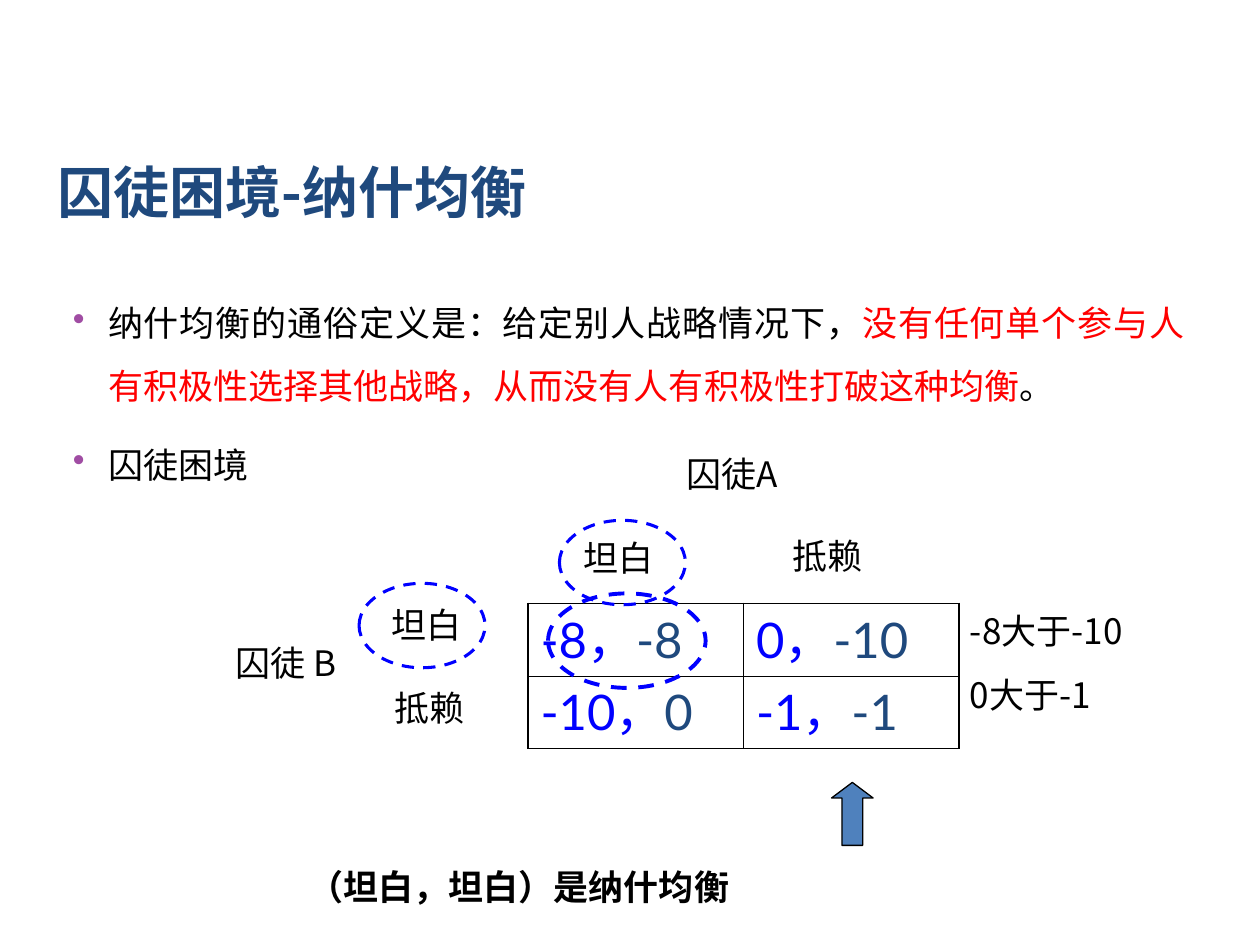
from pptx import Presentation
from pptx.dml.color import RGBColor
from pptx.enum.dml import MSO_LINE
from pptx.enum.shapes import MSO_SHAPE
from pptx.enum.text import MSO_ANCHOR, PP_ALIGN
from pptx.oxml.ns import qn
from pptx.util import Inches, Pt
from lxml import etree

OVAL, ARROW = MSO_SHAPE.OVAL, MSO_SHAPE.UP_ARROW
DASH, MIDDLE = MSO_LINE.DASH, MSO_ANCHOR.MIDDLE
LEFT, CENTER, JUSTIFY = PP_ALIGN.LEFT, PP_ALIGN.CENTER, PP_ALIGN.JUSTIFY
WIDE, HIGH = Inches(10), Inches(7.5)
COLS, ROWS = 100, 75
HAN, LATIN = "Noto Sans CJK SC", "Lato"
BLACK, RED, BLUE, NAVY = "000000", "FF0000", "0000FF", "1F497D"


def rgb(code):
    return RGBColor.from_string(code)


def grid(box, part):
    """Turn a part, offset from its box in grid units, into slide lengths."""
    x, y, w, h = part
    return (int((box[0] + x) * WIDE / COLS), int((box[1] + y) * HIGH / ROWS),
            int(w * WIDE / COLS), int(h * HIGH / ROWS))


def add_run(para, text, color=BLACK, size=20, face=HAN, bold=False):
    run = para.add_run()
    run.text = text
    font = run.font
    font.size, font.bold, font.name = Pt(size), bold, face
    font.color.rgb = rgb(color)
    east = etree.SubElement(run._r.get_or_add_rPr(), qn("a:ea"))
    east.set("typeface", face)


def add_text(slide, place, lines, align=LEFT, **style):
    frame = slide.shapes.add_textbox(*place).text_frame
    frame.word_wrap = True
    for i, line in enumerate(lines):
        para = frame.add_paragraph() if i else frame.paragraphs[0]
        para.alignment = align
        if i:
            para.space_before = Pt(12.5)
        for text, color in line:
            add_run(para, text, color, **style)
    return frame


def add_shape(slide, kind, place, line, width, fill=None):
    shape = slide.shapes.add_shape(kind, *place)
    shape.shadow.inherit = False
    shape.line.color.rgb, shape.line.width = rgb(line), Pt(width)
    if fill:
        shape.fill.solid()
        shape.fill.fore_color.rgb = rgb(fill)
    else:
        shape.fill.background()
    return shape


def add_bullet(para):
    props = para._p.get_or_add_pPr()
    props.set("marL", str(Inches(0.4)))
    props.set("indent", str(Inches(-0.28)))
    tint = etree.SubElement(props, qn("a:buClr"))
    etree.SubElement(tint, qn("a:srgbClr")).set("val", "A04DA3")
    etree.SubElement(props, qn("a:buChar")).set("char", "•")


def set_edge(cell, side, width):
    edge = etree.SubElement(cell._tc.get_or_add_tcPr(), qn("a:" + side))
    edge.set("w", str(Pt(width)))
    fill = etree.SubElement(edge, qn("a:solidFill"))
    etree.SubElement(fill, qn("a:srgbClr")).set("val", BLACK)


def draw_title(slide, box):
    frame = add_text(slide, grid(box, (0, 0, 90, 8.8)),
                     [[("囚徒困境-纳什均衡", NAVY)]], JUSTIFY, size=32, bold=True)
    frame.vertical_anchor = MIDDLE


def draw_body(slide, box):
    lines = [
        [("纳什均衡的通俗定义是：给定别人战略情况下，", BLACK),
         ("没有任何单个参与人有积极性选择其他战略，从而没有人有积极性打破这种均衡", RED),
         ("。", BLACK)],
        [("囚徒困境", BLACK)],
    ]
    frame = add_text(slide, grid(box, (0, 0, 91.4, 51.2)), lines, JUSTIFY)
    for i, para in enumerate(frame.paragraphs):
        para.line_spacing = 1.5
        para.space_before, para.space_after = Pt(3 * i), Pt(6)
        add_bullet(para)


def draw_table(slide, place):
    pays = [[("-8", "-8"), ("0", "-10")], [("-10", "0"), ("-1", "-1")]]
    table = slide.shapes.add_table(2, 2, *place).table
    table.first_row = table.horz_banding = False
    for r, row in enumerate(pays):
        for c, (first, second) in enumerate(row):
            cell = table.cell(r, c)
            para = cell.text_frame.paragraphs[0]
            add_run(para, first + "，", BLUE, 28, LATIN)
            add_run(para, second, NAVY, 28, LATIN)
            outer = {"lnL": c == 0, "lnR": c == 1, "lnT": r == 0, "lnB": r == 1}
            for side, thick in outer.items():
                set_edge(cell, side, 1.08 if thick else 0.45)
            cell.fill.background()


def draw_game(slide, box):
    """Payoff table with its labels, marks and notes around it."""
    draw_table(slide, grid(box, (0, 0, 34.2, 11.5)))
    labels = [
        ("囚徒A", (9.1, -12.5, 14.2, 4.4), CENTER),
        ("囚徒 B", (-24.2, 2.5, 13.3, 4.4), LEFT),
        ("坦白", (-11.8, -0.5, 10, 4.4), LEFT),
        ("抵赖", (-11.6, 6.1, 11.7, 4.4), LEFT),
        ("坦白", (3.4, -5.8, 15.8, 4.4), LEFT),
        ("抵赖", (20, -6, 16.7, 4.4), LEFT),
    ]
    for text, part, align in labels:
        add_text(slide, grid(box, part), [[(text, BLACK)]], align)
    rings = [((-13.4, -1.6, 10, 6.7), 1.75), ((2.5, -6.6, 10, 6.7), 1.75),
             ((1.6, -0.8, 12.5, 7.5), 2.25)]
    for part, width in rings:
        add_shape(slide, OVAL, grid(box, part), BLUE, width).line.dash_style = DASH
    arrow = add_shape(slide, ARROW, grid(box, (24.1, 14.2, 3.3, 5)),
                      BLACK, 0.75, "4F81BD")
    arrow.adjustments[0], arrow.adjustments[1] = 0.5, 0.375
    add_text(slide, grid(box, (34.1, 0, 16.7, 9.4)),
             [[("-8大于-10", BLACK)], [("0大于-1", BLACK)]])


def draw_result(slide, box):
    add_text(slide, grid(box, (0, 0, 58.3, 4.4)),
             [[("（坦白，坦白）是纳什均衡", BLACK)]], bold=True)


def main():
    deck = Presentation()
    deck.slide_width, deck.slide_height = WIDE, HIGH
    slide = deck.slides.add_slide(deck.slide_layouts[6])
    draw_body(slide, (3.6, 21.8))
    draw_title(slide, (3.6, 10.8))
    draw_game(slide, (41.9, 47.9))
    draw_result(slide, (23.5, 68.2))
    deck.save("out.pptx")


if __name__ == "__main__":
    main()
